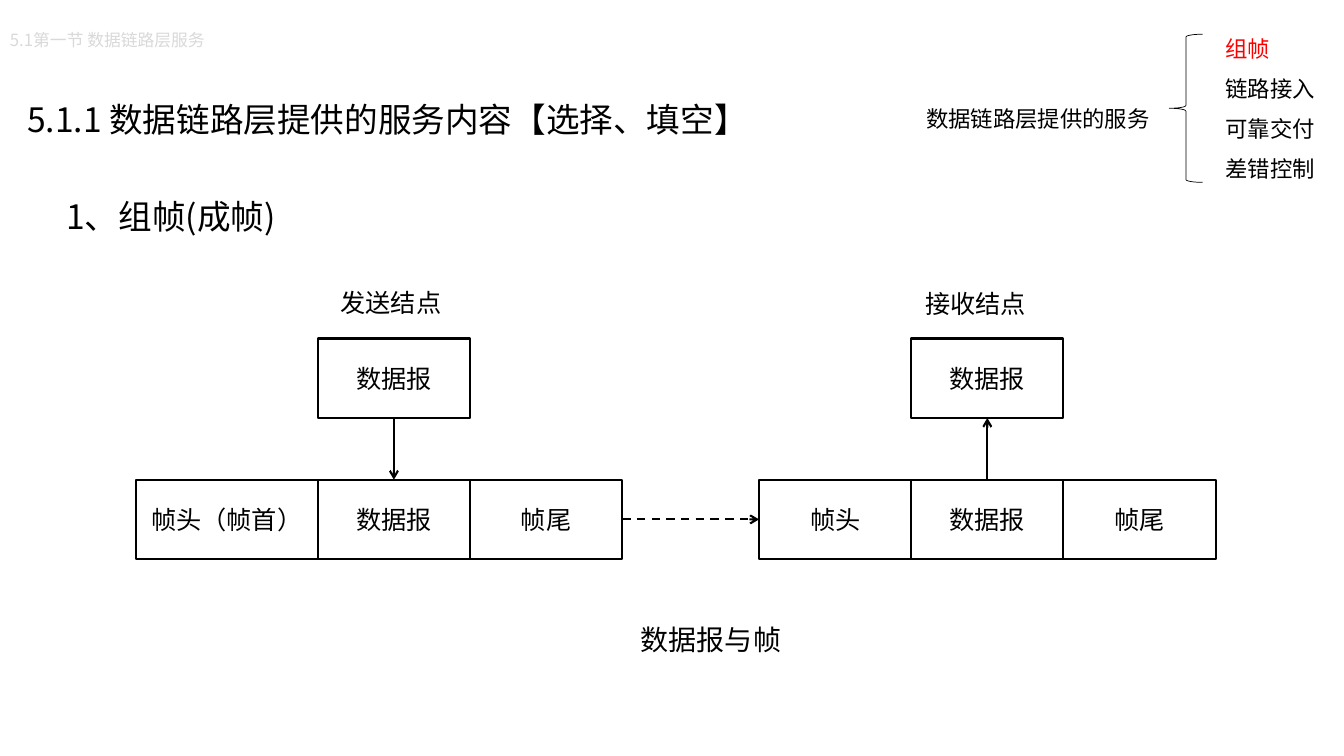
from dataclasses import dataclass

from lxml.etree import SubElement
from pptx import Presentation
from pptx.dml.color import RGBColor
from pptx.enum.dml import MSO_LINE
from pptx.enum.shapes import MSO_CONNECTOR, MSO_SHAPE
from pptx.enum.text import MSO_ANCHOR, MSO_AUTO_SIZE, PP_ALIGN
from pptx.oxml.ns import qn
from pptx.util import Pt


@dataclass(frozen=True)
class Theme:
    black: RGBColor = RGBColor(0, 0, 0)
    red: RGBColor = RGBColor(255, 0, 0)
    grey: RGBColor = RGBColor(217, 217, 217)
    sans: str = "Noto Sans CJK SC"
    latin: str = "Arial"
    title: int = 24
    caption: int = 20
    label: int = 18
    list: int = 16
    crumb: int = 12
    line: float = 1.5
    thin: float = 0.5


THEME = Theme()
CELL, TALL = 108.7, 56.8
TOP, LOW = 241.8, 342.6


def write(para, text, size, color=THEME.black, face=THEME.sans):
    run = para.add_run()
    run.text = text
    font = run.font
    font.size = Pt(size)
    font.name = face
    font.color.rgb = color
    SubElement(font._element, qn("a:ea"), typeface=THEME.sans)


def add_text(slide, place, rows, size, face=THEME.sans, space=None,
             align=PP_ALIGN.LEFT, anchor=MSO_ANCHOR.TOP, wrap=True, grow=True):
    """Add a text box; rows holds a (text, colour) pair for each paragraph."""
    box = slide.shapes.add_textbox(*map(Pt, place))
    frame = box.text_frame
    frame.word_wrap = wrap
    frame.vertical_anchor = anchor
    frame.auto_size = MSO_AUTO_SIZE.SHAPE_TO_FIT_TEXT if grow else MSO_AUTO_SIZE.NONE
    for i, (text, color) in enumerate(rows):
        para = frame.add_paragraph() if i else frame.paragraphs[0]
        para.alignment = align
        if space:
            para.line_spacing = space
        write(para, text, size, color, face)
    return box


def add_shape(slide, kind, place, width):
    shape = slide.shapes.add_shape(kind, *map(Pt, place))
    shape.shadow.inherit = False
    shape.fill.background()
    shape.line.color.rgb = THEME.black
    shape.line.width = Pt(width)
    return shape


def add_cell(slide, text, left, top, width=CELL):
    cell = add_shape(slide, MSO_SHAPE.RECTANGLE, (left, top, width, TALL), THEME.line)
    frame = cell.text_frame
    frame.word_wrap = True
    frame.vertical_anchor = MSO_ANCHOR.MIDDLE
    para = frame.paragraphs[0]
    para.alignment = PP_ALIGN.CENTER
    write(para, text, THEME.label, face=THEME.latin)


def add_frame(slide, left, cells):
    """Draw the frame's cells side by side and return its right edge."""
    for text, width in cells:
        add_cell(slide, text, left, LOW, width)
        left += width
    return left


def add_arrow(slide, start, end, dash=False):
    arrow = slide.shapes.add_connector(MSO_CONNECTOR.STRAIGHT, *map(Pt, start + end))
    arrow.line.color.rgb = THEME.black
    arrow.line.width = Pt(THEME.line)
    if dash:
        arrow.line.dash_style = MSO_LINE.DASH
    SubElement(arrow.line._get_or_add_ln(), qn("a:tailEnd"), type="arrow")
    SubElement(arrow._element.spPr, qn("a:effectLst"))


def add_heads(slide):
    ink = THEME.black
    add_text(slide, (0, 18, 160, 21.8), [("5.1第一节 数据链路层服务", THEME.grey)],
             THEME.crumb, wrap=False)
    title = add_text(slide, (10.8, 40.3, 559.4, 74.9),
                     [("5.1.1 数据链路层提供的服务内容【选择、填空】", ink)],
                     THEME.title, space=1.5, anchor=MSO_ANCHOR.MIDDLE, grow=False)
    frame = title.text_frame
    frame.margin_left = frame.margin_right = Pt(8.64)
    frame.margin_top = frame.margin_bottom = Pt(4.32)
    add_text(slide, (40.3, 128.2, 787.7, 44.6), [("1、组帧(成帧)", ink)],
             THEME.title, space=Pt(37))


def add_menu(slide):
    """Add the braced list of services."""
    ink = THEME.black
    add_text(slide, (654.5, 61.9, 176.4, 36), [("数据链路层提供的服务", ink)],
             THEME.list, space=1.5, wrap=False)
    add_shape(slide, MSO_SHAPE.LEFT_BRACE, (835.2, 24.5, 23.8, 105.8), THEME.thin)
    rows = [("组帧", THEME.red), ("链路接入", ink), ("可靠交付", ink), ("差错控制", ink)]
    add_text(slide, (868.3, 10.8, 79.2, 123.8), rows, THEME.list, space=1.5,
             anchor=MSO_ANCHOR.MIDDLE, wrap=False)


def add_flow(slide):
    """Draw the sending node, the receiving node and the link between them."""
    send, get, first = 97, 542.2, 130
    data, tail = ("数据报", CELL), ("帧尾", CELL)
    edge = add_frame(slide, send, [("帧头（帧首）", first), data, tail])
    add_frame(slide, get, [("帧头", CELL), data, tail])
    nodes = [("发送结点", send + first, 236.2, 201.6, True),
             ("接收结点", get + CELL, 653.8, 202.3, False)]
    for name, left, label, top, down in nodes:
        add_text(slide, (label, top, 161.3, 28.8), [(name, THEME.black)],
                 THEME.label, THEME.latin)
        add_cell(slide, "数据报", left, TOP)
        mid = left + CELL / 2
        ends = [(mid, TOP + TALL), (mid, LOW)]
        add_arrow(slide, *(ends if down else ends[::-1]))
    level = LOW + TALL / 2
    add_arrow(slide, (edge, level), (get, level), dash=True)
    add_text(slide, (365, 441.4, 285.8, 31.7), [("数据报与帧", THEME.black)],
             THEME.caption, THEME.latin, align=PP_ALIGN.CENTER)


def main():
    deck = Presentation()
    deck.slide_width, deck.slide_height = Pt(960), Pt(540)
    slide = deck.slides.add_slide(deck.slide_layouts[6])
    add_heads(slide)
    add_flow(slide)
    add_menu(slide)
    deck.save("out.pptx")


if __name__ == "__main__":
    main()
